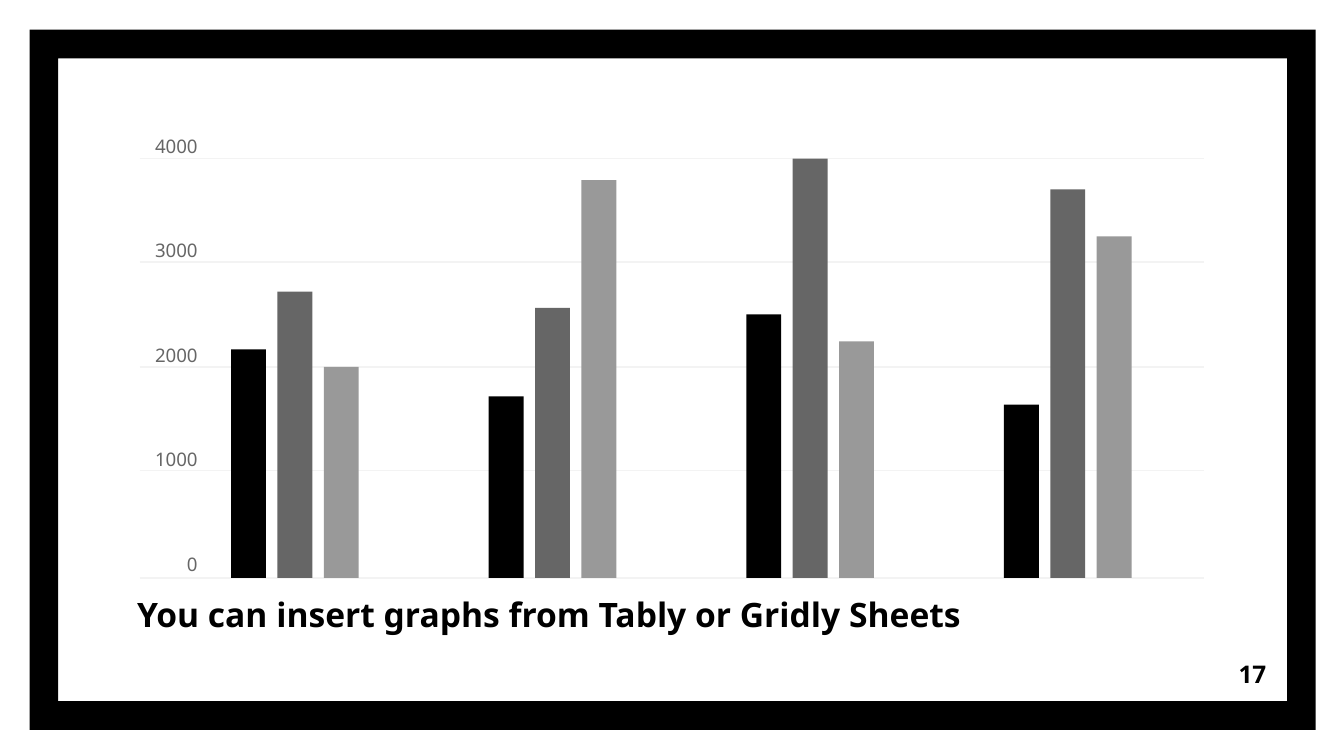
from lxml import etree
from pptx import Presentation
from pptx.dml.color import RGBColor
from pptx.enum.shapes import MSO_CONNECTOR, MSO_SHAPE
from pptx.enum.text import MSO_ANCHOR, PP_ALIGN
from pptx.oxml.ns import qn
from pptx.util import Inches, Pt

COLORS = {
    "black": "000000",
    "dark_gray": "666666",
    "light_gray": "999999",
    "grid": "F3F3F3",
}
FONT = "Noto Sans"


def add_filled_shape(kind, left, top, width, height, color):
    shape = slide.shapes.add_shape(
        kind, Inches(left), Inches(top), Inches(width), Inches(height))
    shape.shadow.inherit = False
    shape.fill.solid()
    shape.fill.fore_color.rgb = RGBColor.from_string(COLORS[color])
    shape.line.fill.background()
    return shape


def format_text(box, margin, anchor, alignment, size, color, bold):
    frame = box.text_frame
    frame.word_wrap = True
    frame.vertical_anchor = anchor
    frame.margin_left = frame.margin_right = Inches(margin)
    frame.margin_top = frame.margin_bottom = Inches(margin)
    for para in frame.paragraphs:
        para.alignment = alignment
        para.space_before = Pt(0)
        for span in para.runs:
            span.font.name = FONT
            span.font.size = Pt(size)
            span.font.bold = bold
            span.font.color.rgb = RGBColor.from_string(COLORS[color])


# Widescreen page, 16:9
deck = Presentation()
deck.slide_width = Inches(10)
deck.slide_height = Inches(10 * 9 / 16)
slide = deck.slides.add_slide(deck.slide_layouts.get_by_name("Section Header"))

# The title placeholder stays unused
title = slide.shapes.title
title.element.getparent().remove(title.element)

# Border around the page
border = add_filled_shape(MSO_SHAPE.FRAME, 0.22, 0.22, 9.57, 5.21, "black")
border.adjustments[0] = 0.041
slide.shapes._spTree.insert(2, border.element)

# Caption
caption = slide.placeholders[1]
caption.left, caption.top = Inches(0.92), Inches(4.32)
caption.width, caption.height = Inches(8.16), Inches(0.57)
caption.text_frame.text = "You can insert graphs from Tably or Gridly Sheets"
format_text(caption, 0.1, MSO_ANCHOR.TOP, PP_ALIGN.LEFT, 18, "black", True)

# Page number
page_number = slide.shapes.add_textbox(
    Inches(8.92), Inches(4.8), Inches(0.6), Inches(0.43))
page_number.text_frame.text = "17"
format_text(page_number, 0.1, MSO_ANCHOR.MIDDLE, PP_ALIGN.RIGHT, 13, "black", True)

# Grid lines
BASELINE = 4.3
for y in (1.18, 1.95, 2.73, 3.5, BASELINE):
    grid_line = slide.shapes.add_connector(
        MSO_CONNECTOR.STRAIGHT, Inches(1.04), Inches(y), Inches(8.96), Inches(y))
    grid_line.line.color.rgb = RGBColor.from_string(COLORS["grid"])
    grid_line.line.width = Pt(0.75)
    etree.SubElement(grid_line.element.spPr, qn("a:effectLst"))

# Axis labels
axis_labels = slide.shapes.add_textbox(
    Inches(1.04), Inches(1), Inches(0.43), Inches(3.31))
axis_labels.text_frame.text = "4000\n3000\n2000\n1000\n0"
format_text(axis_labels, 0, MSO_ANCHOR.TOP, PP_ALIGN.RIGHT, 10, "dark_gray", False)
for para in axis_labels.text_frame.paragraphs[1:]:
    para.space_before = Pt(44)

# Bars: four groups of three, all standing on the baseline
FIRST_LEFT = 1.72
GROUP_STEP = (7.47 - FIRST_LEFT) / 3
BAR_STEP = (2.41 - FIRST_LEFT) / 2
BAR_COLORS = ("black", "dark_gray", "light_gray")
BAR_HEIGHTS = (
    (1.7, 2.13, 1.57),
    (1.35, 2.01, 2.96),
    (1.96, 3.12, 1.76),
    (1.29, 2.89, 2.54),
)
for group, heights in enumerate(BAR_HEIGHTS):
    for series, (height, color) in enumerate(zip(heights, BAR_COLORS)):
        left = FIRST_LEFT + GROUP_STEP * group + BAR_STEP * series
        add_filled_shape(
            MSO_SHAPE.RECTANGLE, left, BASELINE - height, 0.26, height, color)

deck.save("out.pptx")
